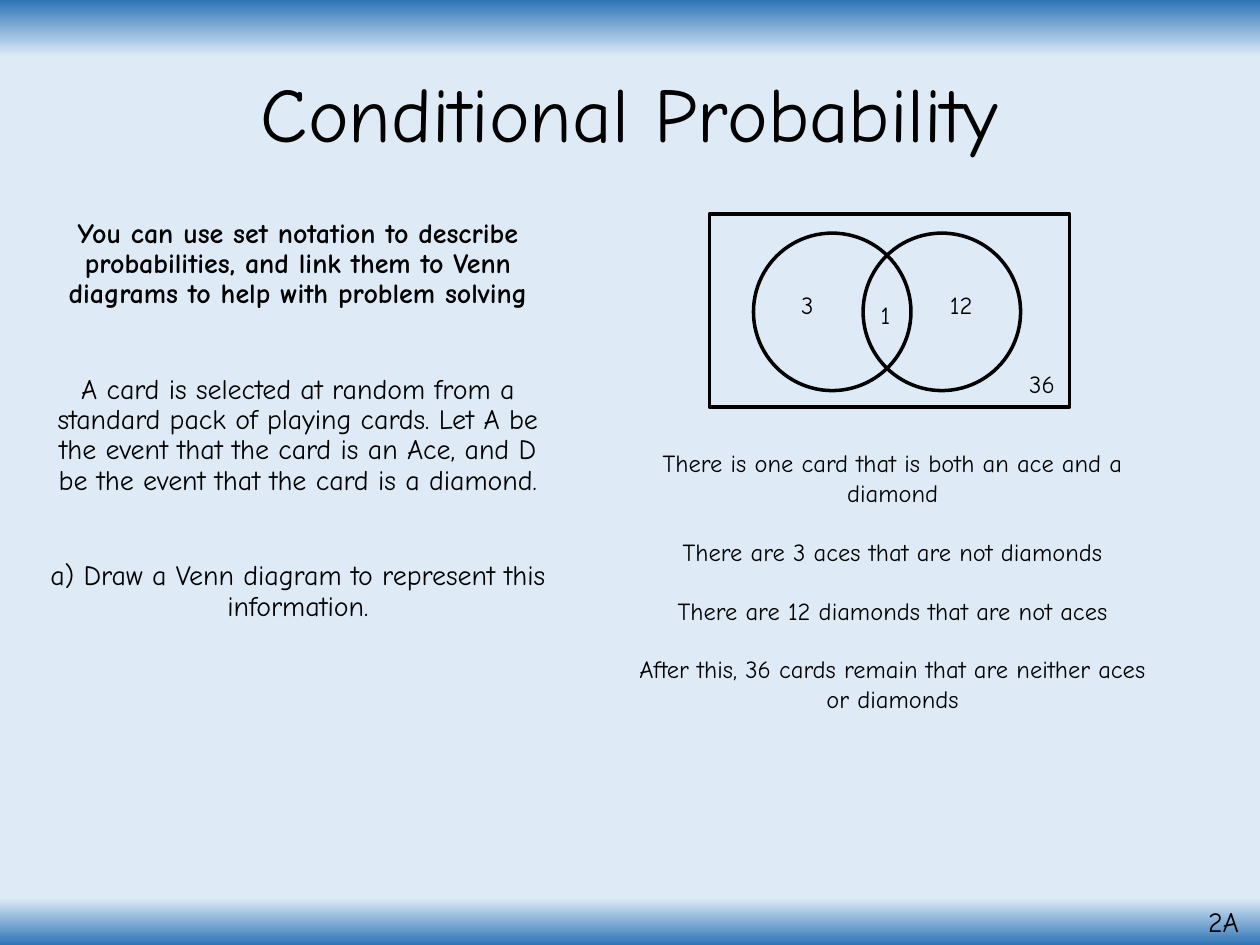
from copy import deepcopy
from typing import NamedTuple

from pptx import Presentation
from pptx.dml.color import RGBColor
from pptx.enum.shapes import MSO_SHAPE
from pptx.enum.text import MSO_ANCHOR, PP_ALIGN
from pptx.util import Inches, Pt

FONT = "Comic Neue"
COLORS = {"ink": "000000", "edge": "2E75B6", "paper": "DEEBF7"}


class Box(NamedTuple):
    left: float
    top: float
    width: float
    height: float

    def lengths(self) -> list:
        return [Inches(value) for value in self]


class TextBlock(NamedTuple):
    box: Box
    paragraphs: list[str]
    size: int
    gap: float = 0
    line_spacing: float = 1.0
    align: PP_ALIGN = PP_ALIGN.CENTER
    wrap: bool = True
    bold_first: bool = False


class Outline(NamedTuple):
    kind: MSO_SHAPE
    box: Box


CIRCLE_SIZE = 1.25
CIRCLE_TOP = 1.85
OUTLINES = [
    Outline(MSO_SHAPE.RECTANGLE, Box(5.63, 1.7, 2.86, 1.53)),
    *(Outline(MSO_SHAPE.OVAL, Box(left, CIRCLE_TOP, CIRCLE_SIZE, CIRCLE_SIZE))
      for left in (5.98, 6.85)),
]

REGION_COUNTS = [
    ("1", Box(6.89, 2.33, 0.29, 0.34)),
    ("3", Box(6.26, 2.25, 0.32, 0.34)),
    ("12", Box(7.44, 2.25, 0.41, 0.34)),
    ("36", Box(8.07, 2.88, 0.44, 0.34)),
]

QUESTION = TextBlock(
    Box(0.25, 1.69, 4.23, 5.07),
    [
        "You can use set notation to describe probabilities, and link them to "
        "Venn diagrams to help with problem solving",
        "A card is selected at random from a standard pack of playing cards. "
        "Let A be the event that the card is an Ace, and D be the event that "
        "the card is a diamond.",
        "a) Draw a Venn diagram to represent this information.",
    ],
    size=16, gap=37.5, line_spacing=0.9, bold_first=True,
)
SECTION = TextBlock(Box(9.42, 7.16, 0.58, 0.34), ["2A"], size=16, line_spacing=0.9)
EXPLANATION = TextBlock(
    Box(4.92, 3.51, 4.33, 2.22),
    [
        "There is one card that is both an ace and a diamond",
        "There are 3 aces that are not diamonds",
        "There are 12 diamonds that are not aces",
        "After this, 36 cards remain that are neither aces or diamonds",
    ],
    size=14, gap=16.8,
)


def color(name: str) -> RGBColor:
    return RGBColor.from_string(COLORS[name])


def format_paragraph(paragraph, size: int, align: PP_ALIGN, line_spacing: float) -> None:
    paragraph.alignment = align
    paragraph.line_spacing = line_spacing
    paragraph.font.name = FONT
    paragraph.font.size = Pt(size)
    paragraph.font.color.rgb = color("ink")


def paint_background(slide) -> None:
    fill = slide.background.fill
    fill.gradient()
    fill.gradient_angle = 270
    stop_list = slide.element.xpath(".//p:bg//a:gsLst")[0]
    for stop in list(stop_list):
        stop_list.append(deepcopy(stop))
    bands = [(0, "edge"), (0.06, "paper"), (0.95, "paper"), (1, "edge")]
    for stop, (position, name) in zip(fill.gradient_stops, bands):
        stop.position = position
        stop.color.rgb = color(name)


def add_title(slide, text: str, box: Box) -> None:
    title = slide.shapes.title
    title.left, title.top, title.width, title.height = box.lengths()
    title.text_frame.text = text
    title.text_frame.vertical_anchor = MSO_ANCHOR.MIDDLE
    format_paragraph(title.text_frame.paragraphs[0], 44, PP_ALIGN.CENTER, 0.9)


def add_outline(slide, outline: Outline) -> None:
    shape = slide.shapes.add_shape(outline.kind, *outline.box.lengths())
    shape.shadow.inherit = False
    shape.fill.background()
    shape.line.color.rgb = color("ink")
    shape.line.width = Pt(2)


def add_text(slide, block: TextBlock) -> None:
    frame = slide.shapes.add_textbox(*block.box.lengths()).text_frame
    frame.word_wrap = block.wrap
    for index, text in enumerate(block.paragraphs):
        paragraph = frame.add_paragraph() if index else frame.paragraphs[0]
        paragraph.text = text
        format_paragraph(paragraph, block.size, block.align, block.line_spacing)
        if index:
            paragraph.space_before = Pt(block.gap)
        elif block.bold_first:
            paragraph.font.bold = True


def main() -> None:
    presentation = Presentation()
    presentation.slide_width = Inches(10)
    presentation.slide_height = Inches(7.5)
    slide = presentation.slides.add_slide(
        presentation.slide_layouts.get_by_name("Title Only"))

    paint_background(slide)
    add_title(slide, "Conditional Probability", Box(0.69, 0.21, 8.62, 1.45))
    add_text(slide, QUESTION)
    add_text(slide, SECTION)
    for outline in OUTLINES:
        add_outline(slide, outline)
    for count, box in REGION_COUNTS:
        add_text(slide, TextBlock(box, [count], size=14, align=PP_ALIGN.LEFT, wrap=False))
    add_text(slide, EXPLANATION)

    presentation.save("out.pptx")


if __name__ == "__main__":
    main()
